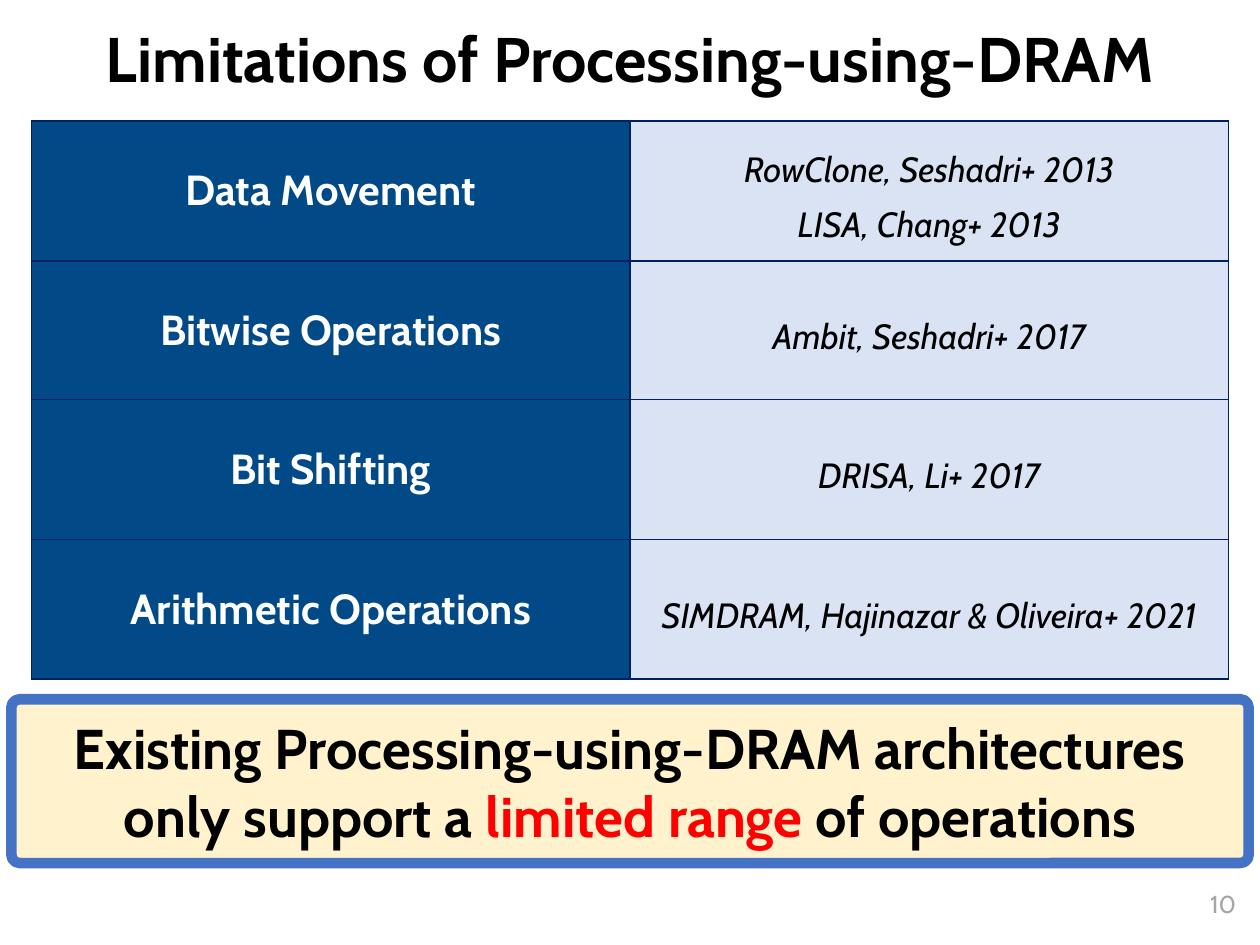
from lxml.etree import SubElement
from pptx import Presentation
from pptx.dml.color import RGBColor
from pptx.enum.shapes import MSO_SHAPE
from pptx.enum.text import MSO_ANCHOR, MSO_AUTO_SIZE, PP_ALIGN
from pptx.oxml.ns import qn
from pptx.util import Emu, Pt

PIXEL = 9144
FONT = "Cabin"
COLORS = {
    "black": "000000",
    "white": "FFFFFF",
    "red": "FF0000",
    "gray": "A6A6A6",
    "navy": "002060",
    "label": "014987",
    "citation": "DAE3F3",
    "cream": "FFF2CC",
    "blue": "4472C4",
}
OPERATIONS = [
    ("Data Movement", ["RowClone, Seshadri+ 2013", "LISA, Chang+ 2013"]),
    ("Bitwise Operations", ["Ambit, Seshadri+ 2017"]),
    ("Bit Shifting", ["DRISA, Li+ 2017"]),
    ("Arithmetic Operations", ["SIMDRAM, Hajinazar & Oliveira+ 2021"]),
]
TABLE_TOP = 96
ROW_PITCH = 110.67
ROW_HEIGHT = 111


def px(*lengths):
    """Turn pixel lengths into EMU."""
    return [Emu(length * PIXEL) for length in lengths]


def color(name):
    """Return a named colour."""
    return RGBColor.from_string(COLORS[name])


def add_run(paragraph, text, size, color_name, bold=False, italic=False):
    """Add one formatted run to a paragraph."""
    run = paragraph.add_run()
    run.text = text
    run.font.name = FONT
    run.font.size = Pt(size)
    run.font.bold = bold
    run.font.italic = italic
    run.font.color.rgb = color(color_name)


def add_title(slide, text):
    """Place and fill the title placeholder."""
    title = slide.shapes.title
    title.left, title.top, title.width, title.height = px(50, 9, 900, 81)
    frame = title.text_frame
    frame.auto_size = MSO_AUTO_SIZE.NONE
    frame.vertical_anchor = MSO_ANCHOR.MIDDLE
    paragraph = frame.paragraphs[0]
    paragraph.alignment = PP_ALIGN.CENTER
    paragraph.line_spacing = 0.9
    add_run(paragraph, text, 36, "black", bold=True)


def format_cell(cell, fill_name):
    """Give a cell its borders, fill and anchor."""
    properties = cell._tc.get_or_add_tcPr()
    for side in ("a:lnL", "a:lnR", "a:lnT", "a:lnB"):
        border = SubElement(properties, qn(side), w=str(Pt(1)))
        solid = SubElement(border, qn("a:solidFill"))
        SubElement(solid, qn("a:srgbClr"), val=COLORS["navy"])
    cell.fill.solid()
    cell.fill.fore_color.rgb = color(fill_name)
    cell.vertical_anchor = MSO_ANCHOR.MIDDLE


def add_operation(slide, top, name, citations):
    """Add a one-row table with an operation and its citations."""
    bounds = px(25, top, 950, ROW_HEIGHT)
    table = slide.shapes.add_table(1, 2, *bounds).table
    table.first_row = False
    table.horz_banding = False
    label, sources = table.cell(0, 0), table.cell(0, 1)
    format_cell(label, "label")
    format_cell(sources, "citation")
    paragraph = label.text_frame.paragraphs[0]
    paragraph.alignment = PP_ALIGN.CENTER
    add_run(paragraph, name, 24, "white", bold=True)
    frame = sources.text_frame
    for index, citation in enumerate(citations):
        paragraph = frame.add_paragraph() if index else frame.paragraphs[0]
        paragraph.alignment = PP_ALIGN.CENTER
        paragraph.line_spacing = 1.3
        add_run(paragraph, citation, 20, "black", italic=True)


def add_takeaway(slide):
    """Add the rounded box with the conclusion."""
    shape = slide.shapes.add_shape(MSO_SHAPE.ROUNDED_RECTANGLE, *px(9, 555, 982, 130))
    shape.adjustments[0] = 0.05
    shape.shadow.inherit = False
    shape.fill.solid()
    shape.fill.fore_color.rgb = color("cream")
    shape.line.color.rgb = color("blue")
    shape.line.width = Pt(6)
    frame = shape.text_frame
    frame.word_wrap = True
    frame.vertical_anchor = MSO_ANCHOR.MIDDLE
    frame.margin_left, frame.margin_top, frame.margin_right, frame.margin_bottom = px(8, 5, 8, 5)
    paragraph = frame.paragraphs[0]
    paragraph.alignment = PP_ALIGN.CENTER
    add_run(paragraph, "Existing Processing-using-DRAM architectures", 32, "black", bold=True)
    paragraph.add_line_break()
    add_run(paragraph, "only support a ", 32, "black", bold=True)
    add_run(paragraph, "limited range ", 32, "red", bold=True)
    add_run(paragraph, "of operations", 32, "black", bold=True)


def add_page_number(slide, number):
    """Add the page number at the lower right."""
    frame = slide.shapes.add_textbox(*px(766, 701, 225, 40)).text_frame
    frame.word_wrap = True
    paragraph = frame.paragraphs[0]
    paragraph.alignment = PP_ALIGN.RIGHT
    add_run(paragraph, number, 14, "gray")


def main():
    """Build and save the slide."""
    presentation = Presentation()
    presentation.slide_width, presentation.slide_height = px(1000, 750)
    slide = presentation.slides.add_slide(presentation.slide_layouts[5])
    add_title(slide, "Limitations of Processing-using-DRAM")
    add_page_number(slide, "10")
    for index, (name, citations) in enumerate(OPERATIONS):
        add_operation(slide, round(TABLE_TOP + index * ROW_PITCH), name, citations)
    add_takeaway(slide)
    presentation.save("out.pptx")


if __name__ == "__main__":
    main()
